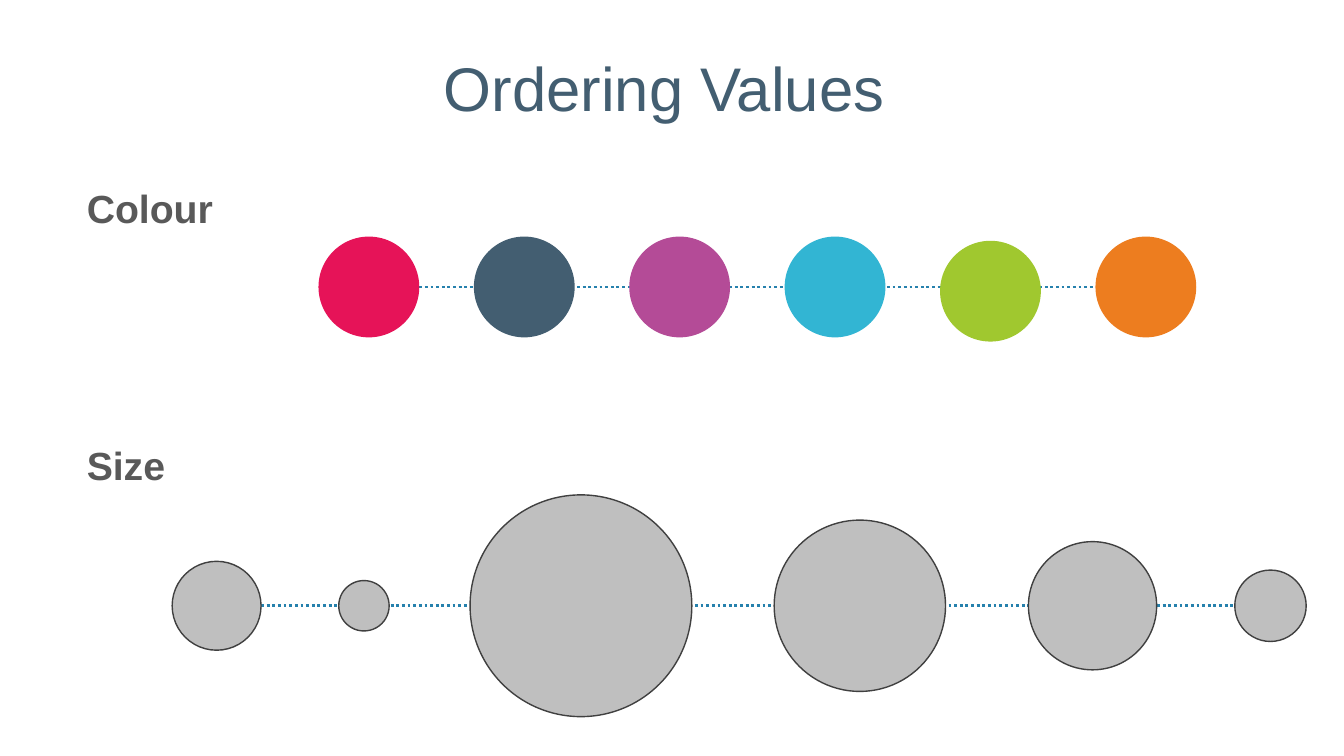
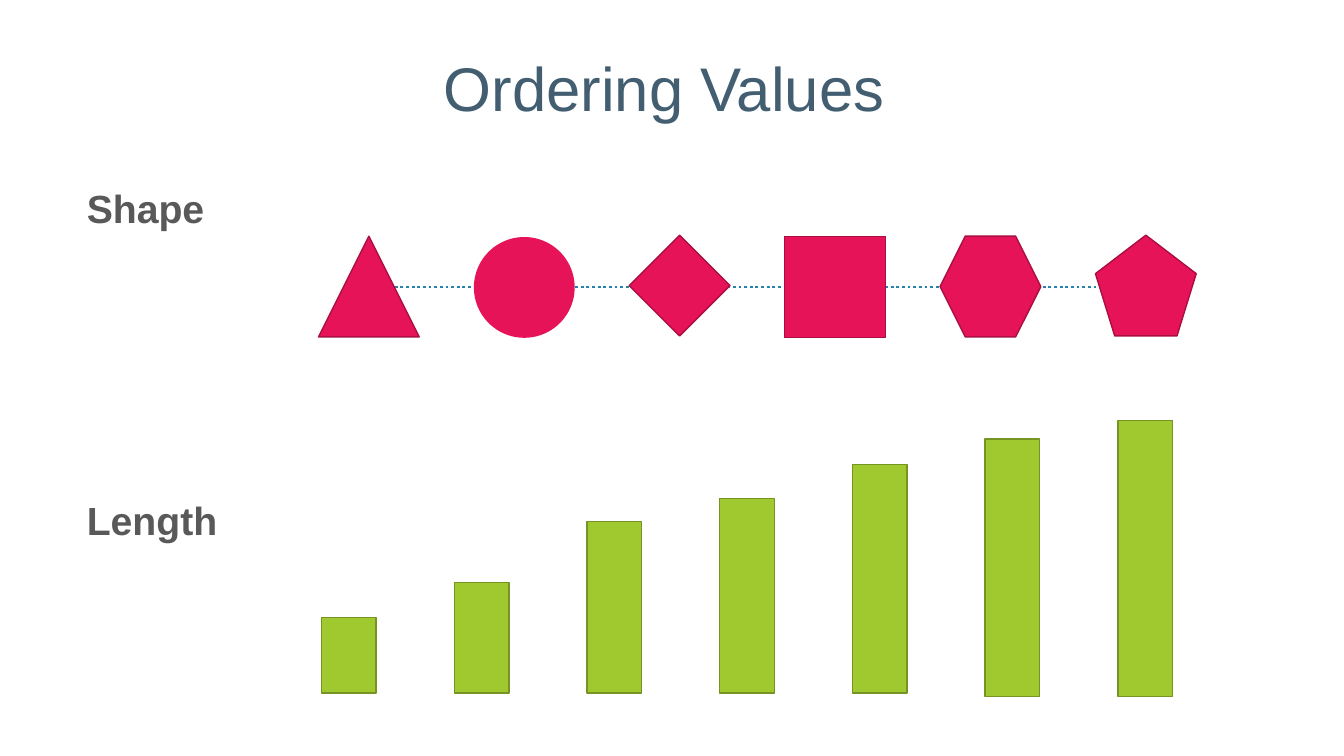
from pptx import Presentation
from pptx.dml.color import RGBColor
from pptx.enum.dml import MSO_LINE
from pptx.enum.shapes import MSO_CONNECTOR, MSO_SHAPE
from pptx.enum.text import MSO_ANCHOR, PP_ALIGN
from pptx.oxml.ns import qn
from pptx.util import Pt

SLATE = RGBColor(0x43, 0x5E, 0x71)
PINK = RGBColor(0xE6, 0x13, 0x58)
WINE = RGBColor(0xAA, 0x0E, 0x41)
PURPLE = RGBColor(0xB4, 0x4B, 0x97)
CYAN = RGBColor(0x32, 0xB5, 0xD3)
GREEN = RGBColor(0xA0, 0xC8, 0x2F)
OLIVE = RGBColor(0x76, 0x94, 0x23)
ORANGE = RGBColor(0xED, 0x7D, 0x1F)
BLUE = RGBColor(0x26, 0x81, 0xAD)
SILVER = RGBColor(0xBF, 0xBF, 0xBF)
DARK = RGBColor(0x40, 0x40, 0x40)
GREY = RGBColor(0x59, 0x59, 0x59)

TITLE = {"name": "Arial", "size": Pt(44), "bold": False}
LABEL = {"name": "Arial", "size": Pt(28), "bold": True}

# Upper row of marks, shared by both slides
LEFT, STEP, SIDE, AXIS = 227.5, 111, 72, 205
# Lower rows
MID = 432.7
BAR_LEFT, BAR_STEP, BAR_WIDTH = 229.7, 94.8, 39


class Deck:
    def __init__(self):
        self.prs = Presentation()
        self.prs.slide_width, self.prs.slide_height = Pt(960), Pt(540)
        self.slide = None

    def style(self, font, values, color):
        for key, value in values.items():
            setattr(font, key, value)
        font.color.rgb = color

    def start(self, text):
        """Add a slide with its centred title."""
        self.slide = self.prs.slides.add_slide(self.prs.slide_layouts[5])
        title = self.slide.shapes.title
        place = {"left": 170, "top": 32.4, "width": 609, "height": 58.3}
        for key, value in place.items():
            setattr(title, key, Pt(value))
        frame = title.text_frame
        frame.text = text
        frame.vertical_anchor = MSO_ANCHOR.MIDDLE
        para = frame.paragraphs[0]
        para.alignment = PP_ALIGN.CENTER
        para.line_spacing = Pt(54)
        self.style(para.runs[0].font, TITLE, SLATE)

    def label(self, text, top, width):
        box = self.slide.shapes.add_textbox(Pt(54.9), Pt(top), Pt(width), Pt(41))
        frame = box.text_frame
        frame.word_wrap = False
        frame.text = text
        self.style(frame.paragraphs[0].runs[0].font, LABEL, GREY)

    def thread(self, start, end, y):
        """Draw the dotted line that runs behind a row of marks."""
        line = self.slide.shapes.add_connector(
            MSO_CONNECTOR.STRAIGHT, Pt(start), Pt(y), Pt(end), Pt(y))
        line.line.color.rgb = BLUE
        line.line.width = Pt(2)
        line.line.dash_style = MSO_LINE.ROUND_DOT
        props = line._element.spPr
        props.append(props.makeelement(qn("a:effectLst"), {}))

    def mark(self, kind, left, top, width, height, fill, edge=None):
        shape = self.slide.shapes.add_shape(
            kind, Pt(left), Pt(top), Pt(width), Pt(height))
        shape.shadow.inherit = False
        shape.fill.solid()
        shape.fill.fore_color.rgb = fill
        if edge is None:
            shape.line.fill.background()
        else:
            shape.line.color.rgb = edge
            shape.line.width = Pt(1)

    def row(self, marks):
        """Place (kind, top, fill, edge) marks of one size at equal steps."""
        for i, (kind, top, fill, edge) in enumerate(marks):
            self.mark(kind, LEFT + i * STEP, top, SIDE, SIDE, fill, edge)


def color_size(deck):
    deck.start("Ordering Values")
    deck.label("Colour", 128.2, 106)
    deck.thread(LEFT + SIDE, LEFT + 5 * STEP, AXIS)
    fills = [PINK, SLATE, PURPLE, CYAN, GREEN, ORANGE]
    deck.row([(MSO_SHAPE.OVAL, 172 if fill == GREEN else 169, fill, None)
              for fill in fills])

    deck.label("Size", 311.8, 71)
    deck.thread(186.5, 882, MID)
    discs = [(123, 63.5), (242, 36), (335.8, 158.4),
             (553, 122.4), (734.6, 91.6), (882, 51)]
    for left, size in discs:
        deck.mark(MSO_SHAPE.OVAL, left, MID - size / 2, size, size, SILVER, DARK)


def shape_length(deck):
    deck.start("Ordering Values")
    deck.label("Shape", 128.2, 99)
    deck.thread(278, 789, AXIS)
    deck.row([
        (MSO_SHAPE.ISOSCELES_TRIANGLE, 168.7, PINK, WINE),
        (MSO_SHAPE.OVAL, 169.3, PINK, None),
        (MSO_SHAPE.DIAMOND, 168, PINK, WINE),
        (MSO_SHAPE.RECTANGLE, 169, PINK, WINE),
        (MSO_SHAPE.HEXAGON, 168.7, PINK, WINE),
        (MSO_SHAPE.REGULAR_PENTAGON, 168, PINK, WINE),
    ])

    deck.label("Length", 350.9, 109)
    bars = [(441.3, 495), (416, 495), (372.4, 495), (356.3, 495),
            (332, 495), (313.6, 497.5), (300.3, 497.5)]
    for i, (top, base) in enumerate(bars):
        deck.mark(MSO_SHAPE.RECTANGLE, BAR_LEFT + i * BAR_STEP, top,
                  BAR_WIDTH, base - top, GREEN, OLIVE)


def main():
    deck = Deck()
    color_size(deck)
    shape_length(deck)
    deck.prs.save("out.pptx")


if __name__ == "__main__":
    main()
